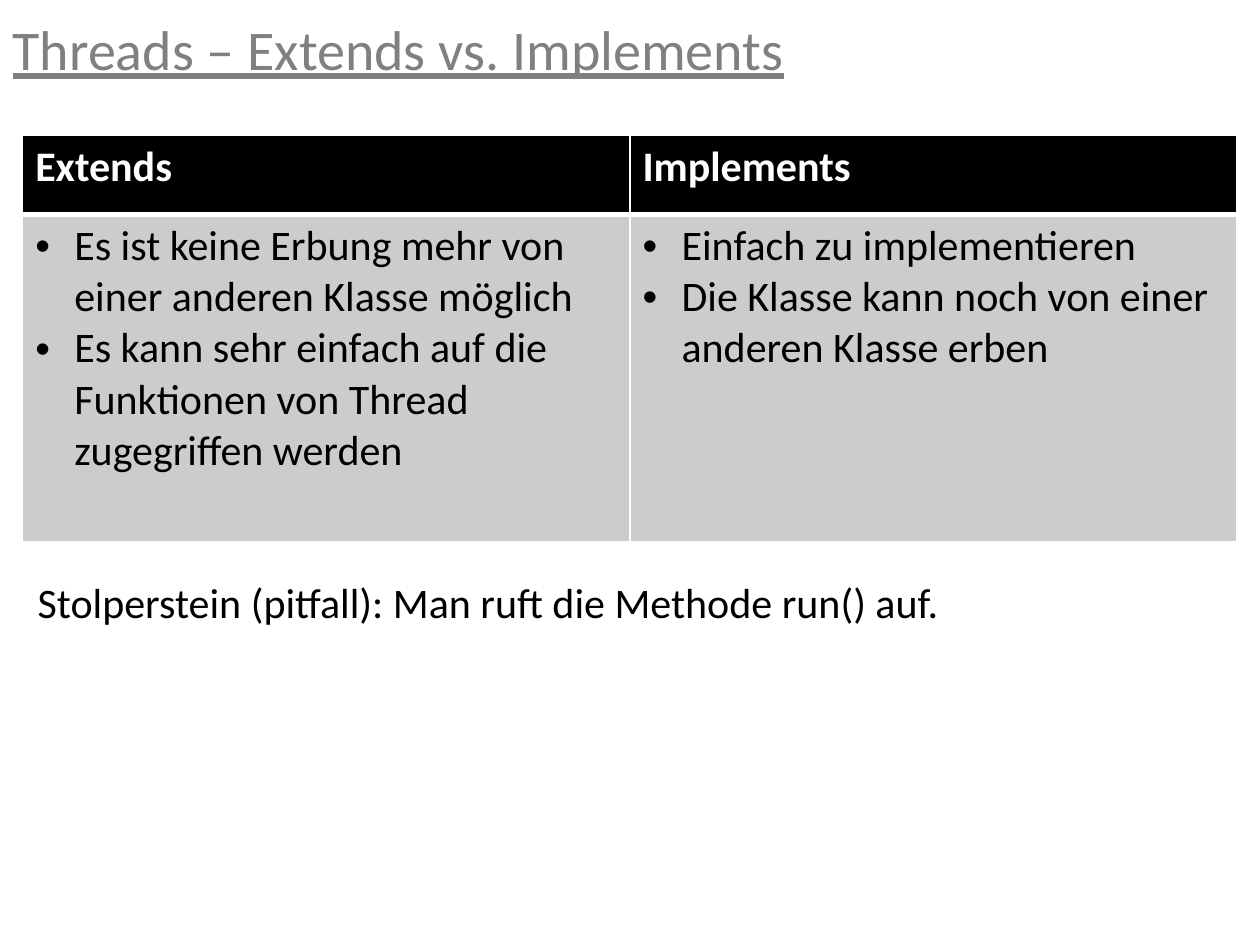
from lxml import etree
from pptx import Presentation
from pptx.dml.color import RGBColor
from pptx.enum.text import MSO_ANCHOR, MSO_AUTO_SIZE, PP_ALIGN
from pptx.oxml.ns import qn
from pptx.util import Inches, Pt

LEFT = PP_ALIGN.LEFT
MIDDLE = MSO_ANCHOR.MIDDLE
NO_FIT = MSO_AUTO_SIZE.NONE
GROW = MSO_AUTO_SIZE.SHAPE_TO_FIT_TEXT
TITLE_ONLY = 5

COLORS = {"black": "000000", "white": "FFFFFF", "title": "808080", "body": "CCCCCC"}
TITLE_FONT = {"name": "Calibri", "size": Pt(32), "bold": False, "underline": True}
HEADER_FONT = {"name": "Calibri", "size": Pt(24), "bold": True}
BODY_FONT = {"name": "Calibri", "size": Pt(24), "bold": False}

COMPARISON = {
    "Extends": [
        "Es ist keine Erbung mehr von einer anderen Klasse möglich",
        "Es kann sehr einfach auf die Funktionen von Thread zugegriffen werden",
    ],
    "Implements": [
        "Einfach zu implementieren",
        "Die Klasse kann noch von einer anderen Klasse erben",
    ],
}


def apply_format(target, values):
    for attribute, value in values.items():
        setattr(target, attribute, value)


def write_paragraphs(frame, lines, font, color):
    for index, line in enumerate(lines):
        paragraph = frame.add_paragraph() if index else frame.paragraphs[0]
        paragraph.alignment = LEFT
        run = paragraph.add_run()
        run.text = line
        apply_format(run.font, font)
        run.font.color.rgb = RGBColor.from_string(COLORS[color])


def add_bullet(paragraph):
    properties = paragraph._p.get_or_add_pPr()
    properties.set("marL", str(Inches(0.31)))
    properties.set("indent", str(Inches(-0.31)))
    etree.SubElement(properties, qn("a:buFont"), typeface="Arial")
    etree.SubElement(properties, qn("a:buChar"), char="•")


def add_borders(cell, widths):
    properties = cell._tc.get_or_add_tcPr()
    for side, width in widths.items():
        border = etree.SubElement(properties, qn(f"a:ln{side}"), w=str(Pt(width)))
        fill = etree.SubElement(border, qn("a:solidFill"))
        etree.SubElement(fill, qn("a:srgbClr"), val=COLORS["white"])


def fill_cell(cell, lines, font, text_color, fill_color, borders):
    add_borders(cell, borders)
    cell.fill.solid()
    cell.fill.fore_color.rgb = RGBColor.from_string(COLORS[fill_color])
    write_paragraphs(cell.text_frame, lines, font, text_color)


def add_title(slide, text):
    title = slide.shapes.title
    apply_format(title, {"left": 0, "top": 0, "width": Inches(10), "height": Inches(0.76)})
    apply_format(title.text_frame, {
        "vertical_anchor": MIDDLE, "auto_size": NO_FIT, "word_wrap": True})
    write_paragraphs(title.text_frame, [text], TITLE_FONT, "title")


def add_comparison(slide):
    table = slide.shapes.add_table(
        2, len(COMPARISON), Inches(0.18), Inches(1.07), Inches(9.64), Inches(3.23)).table
    for row, height in zip(table.rows, (0.63, 2.6)):
        row.height = Inches(height)
    for column, (heading, points) in enumerate(COMPARISON.items()):
        table.columns[column].width = Inches(4.82)
        fill_cell(table.cell(0, column), [heading], HEADER_FONT, "white", "black",
                  {"L": 1, "R": 1, "T": 1, "B": 3})
        points_cell = table.cell(1, column)
        fill_cell(points_cell, points, BODY_FONT, "black", "body",
                  {"L": 1, "R": 1, "T": 3, "B": 1})
        for paragraph in points_cell.text_frame.paragraphs:
            add_bullet(paragraph)


def add_pitfall(slide, text):
    pitfall = slide.shapes.add_textbox(Inches(0.2), Inches(4.53), Inches(9.61), Inches(0.5))
    apply_format(pitfall.text_frame, {"word_wrap": True, "auto_size": GROW})
    write_paragraphs(pitfall.text_frame, [text], BODY_FONT, "black")


def main():
    presentation = Presentation()
    apply_format(presentation, {"slide_width": Inches(10), "slide_height": Inches(7.5)})
    slide = presentation.slides.add_slide(presentation.slide_layouts[TITLE_ONLY])
    add_title(slide, "Threads – Extends vs. Implements")
    add_comparison(slide)
    add_pitfall(slide, "Stolperstein (pitfall): Man ruft die Methode run() auf.")
    presentation.save("out.pptx")


main()
